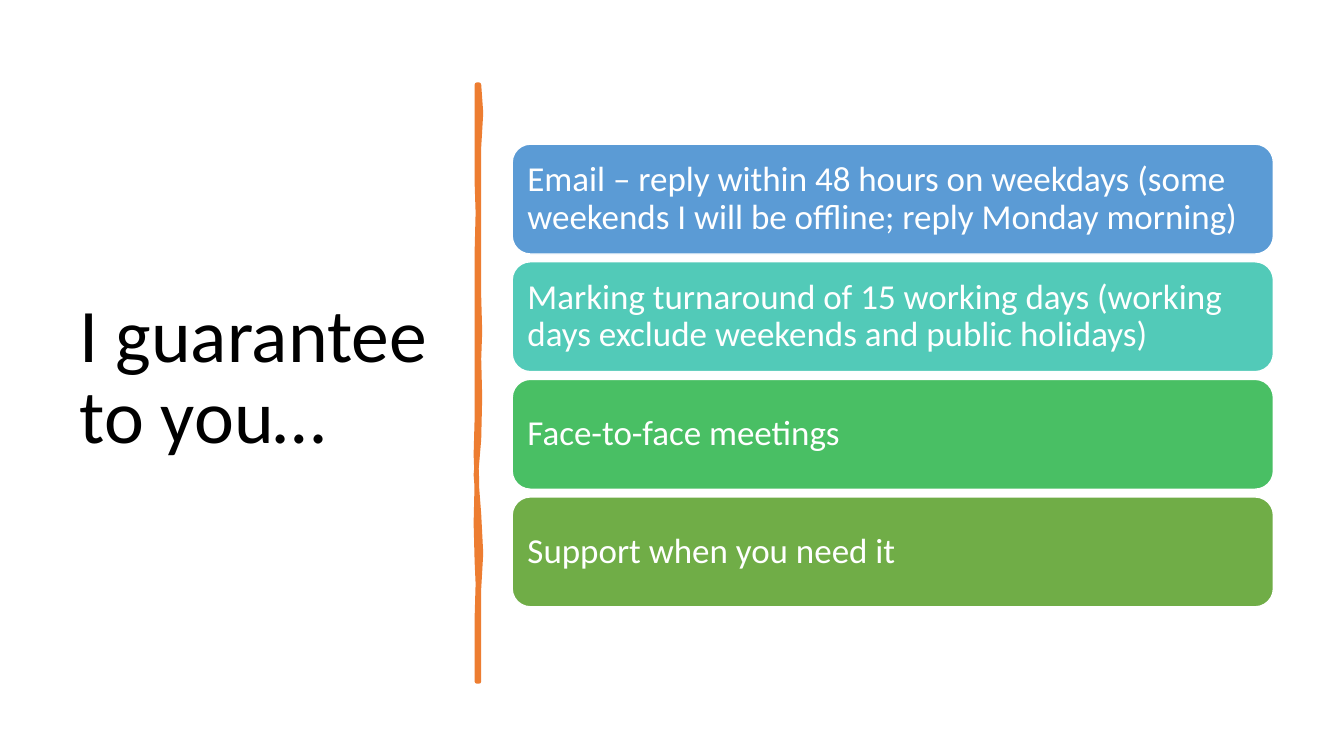
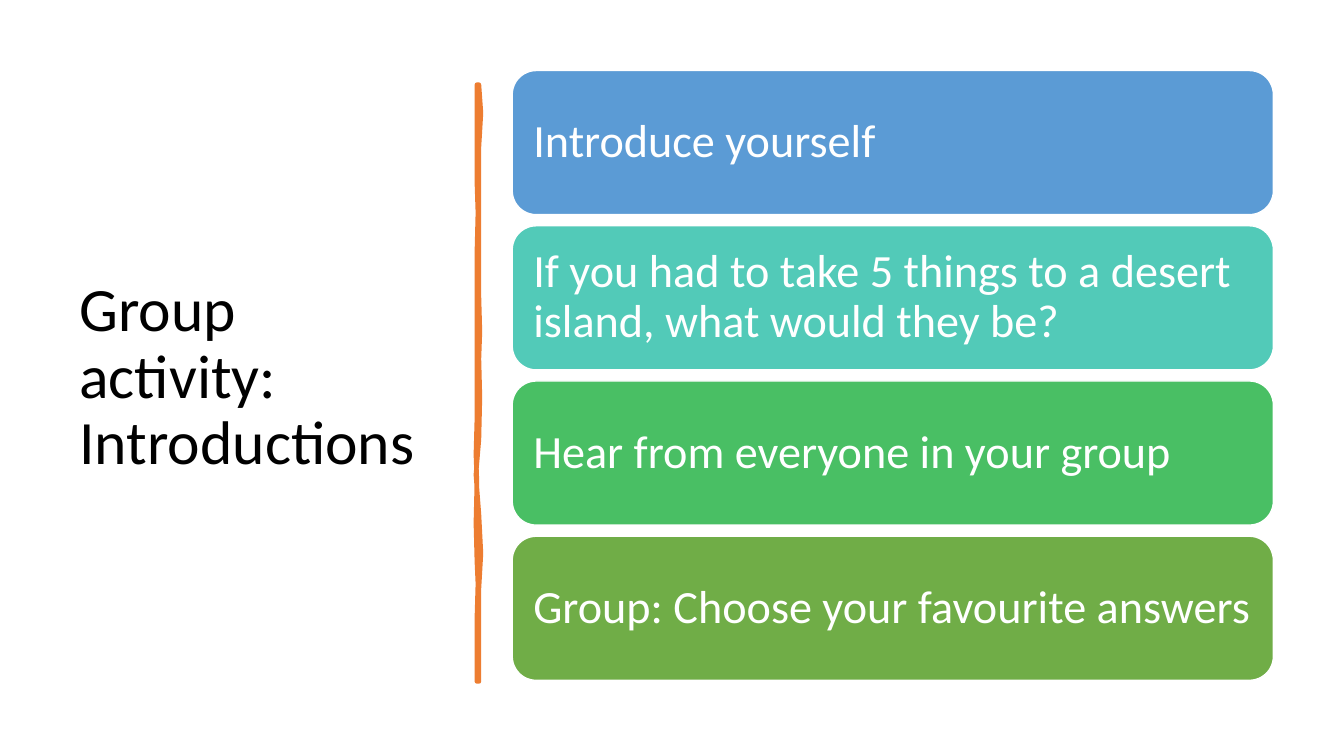
from lxml.etree import SubElement
from pptx import Presentation
from pptx.dml.color import RGBColor
from pptx.enum.shapes import MSO_SHAPE as Shape
from pptx.enum.text import MSO_ANCHOR as Anchor, PP_ALIGN as Align
from pptx.oxml.ns import qn
from pptx.util import Inches, Pt

FONT = "Calibri"
BLACK, WHITE, ORANGE = "000000", "FFFFFF", "ED7D31"
CARD_COLOURS = ["5B9BD5", "52CAB8", "49BF64", "70AD47"]
TITLE_BOX = (0.69, 0.7, 3.74, 6.11)
DIVIDER_AT = (4.73, 0.84)
CARD_LEFT, CARD_WIDTH = 5.08, 7.55

DIVIDER_OUTLINE = [
    (0.02, 0), (0.04, 0.28), (0.02, 0.62), (0.02, 1.01), (0.02, 1.42),
    (0.02, 1.76), (0.02, 2.1), (0.03, 2.45), (0.02, 2.72), (0.03, 3.1),
    (0.02, 3.52), (-0.01, 3.87), (0.02, 4.26), (0.04, 4.65), (0.02, 5),
    (0.02, 5.43), (0.02, 5.92), (0, 5.92), (0, 5.6), (0, 5.29),
    (0.01, 4.95), (0, 4.73), (-0.01, 4.35), (0, 3.93), (-0.01, 3.67),
    (0, 3.31), (0, 2.94), (0, 2.51), (0, 2.06), (0, 1.66),
    (0.01, 1.27), (0, 0.97), (0, 0.49), (0, 0),
]

SLIDES = [
    {
        "title": "I guarantee to you…", "title_size": 54,
        "top": 1.43, "bottom": 6.02, "height": 1.09, "inset": 0.1, "size": 25,
        "cards": [
            "Email – reply within 48 hours on weekdays (some weekends I will be offline; reply Monday morning)",
            "Marking turnaround of 15 working days (working days exclude weekends and public holidays)",
            "Face-to-face meetings",
            "Support when you need it",
        ],
    },
    {
        "title": "Group activity: Introductions", "title_size": 44,
        "top": 0.7, "bottom": 6.75, "height": 1.43, "inset": 0.14, "size": 33,
        "cards": [
            "Introduce yourself",
            "If you had to take 5 things to a desert island, what would they be?",
            "Hear from everyone in your group",
            "Group: Choose your favourite answers",
        ],
    },
]


def colour(hex_text):
    """Turn a hex string into a colour."""
    return RGBColor.from_string(hex_text)


def paint(shape, fill, line, width):
    """Give a shape a flat fill and outline without a shadow."""
    shape.shadow.inherit = False
    shape.fill.solid()
    shape.fill.fore_color.rgb = colour(fill)
    shape.line.color.rgb = colour(line)
    shape.line.width = Pt(width)


def write(box, text, size, ink, inset_x, inset_y):
    """Write one left-aligned, vertically centred paragraph into a box."""
    frame = box.text_frame
    frame.word_wrap = True
    frame.vertical_anchor = Anchor.MIDDLE
    frame.margin_left = frame.margin_right = Inches(inset_x)
    frame.margin_top = frame.margin_bottom = Inches(inset_y)
    para = frame.paragraphs[0]
    para.alignment = Align.LEFT
    para.line_spacing = 0.9
    span = para.add_run()
    span.text = text
    span.font.name = FONT
    span.font.size = Pt(size)
    span.font.color.rgb = colour(ink)


def add_title(page, box, text, size):
    """Place the slide title in the given box."""
    title = page.shapes.add_textbox(*map(Inches, box))
    write(title, text, size, BLACK, 0.1, 0.05)


def add_divider(page, left, top):
    """Draw the uneven vertical line from the given corner."""
    points = [(Inches(left + x), Inches(top + y)) for x, y in DIVIDER_OUTLINE]
    builder = page.shapes.build_freeform(*points[0])
    builder.add_line_segments(points[1:], close=True)
    divider = builder.convert_to_shape()
    paint(divider, ORANGE, ORANGE, 3.25)
    SubElement(divider.line._get_or_add_ln(), qn("a:round"))


def add_cards(page, left, width, content):
    """Spread the coloured cards evenly between the top and the bottom."""
    top, height, cards = content["top"], content["height"], content["cards"]
    pitch = (content["bottom"] - height - top) / (len(cards) - 1)
    for index, (text, fill) in enumerate(zip(cards, CARD_COLOURS)):
        box = (left, top + index * pitch, width, height)
        card = page.shapes.add_shape(Shape.ROUNDED_RECTANGLE, *map(Inches, box))
        paint(card, fill, WHITE, 1)
        write(card, text, content["size"], WHITE, content["inset"], content["inset"])


def add_card_slide(deck, content):
    """Add a slide with a title, a divider and a stack of cards."""
    page = deck.slides.add_slide(deck.slide_layouts[6])
    add_title(page, TITLE_BOX, content["title"], content["title_size"])
    add_divider(page, *DIVIDER_AT)
    add_cards(page, CARD_LEFT, CARD_WIDTH, content)


def main():
    """Build and save the deck."""
    deck = Presentation()
    deck.slide_width, deck.slide_height = Inches(13.33), Inches(7.5)
    for content in SLIDES:
        add_card_slide(deck, content)
    deck.save("out.pptx")


if __name__ == "__main__":
    main()
